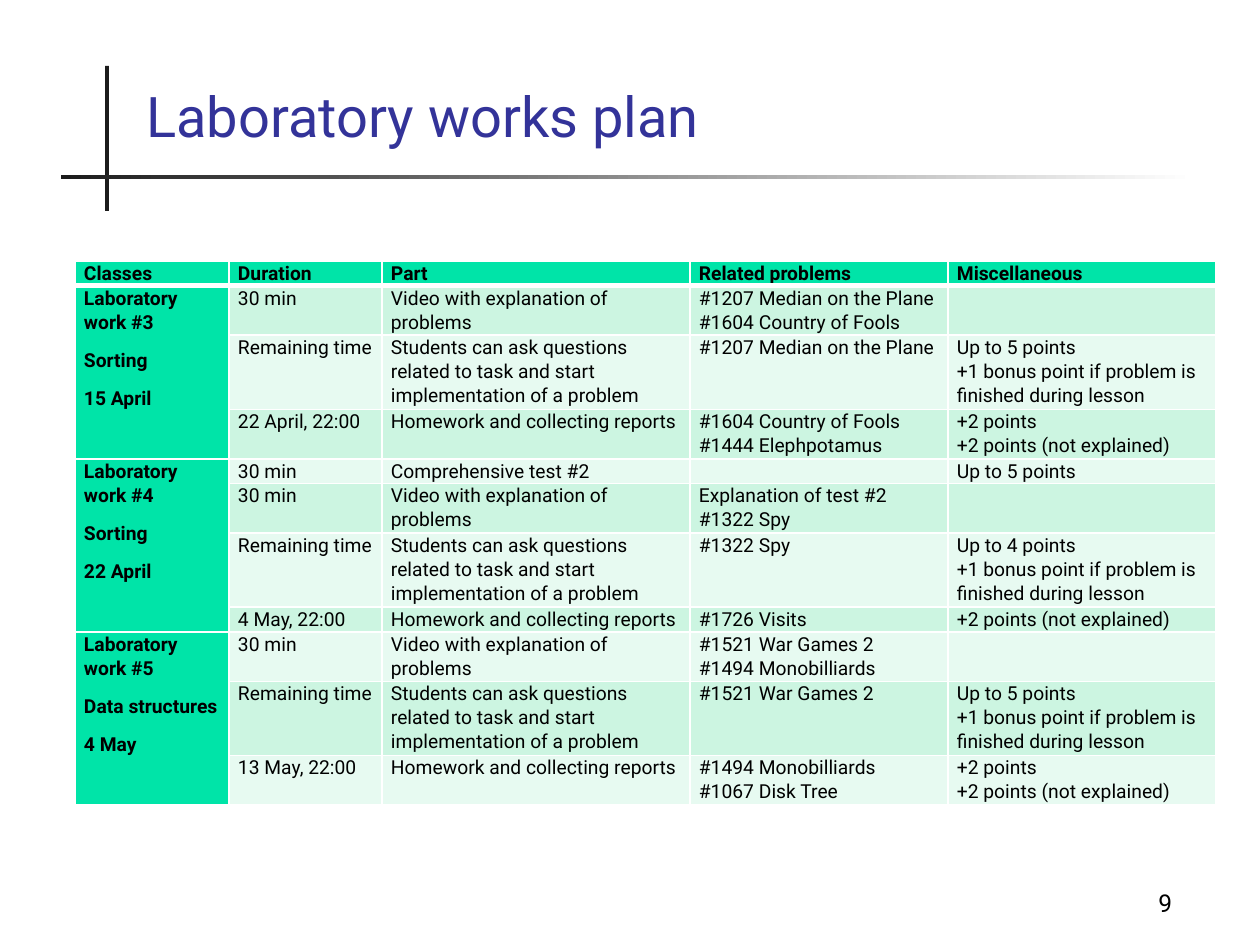
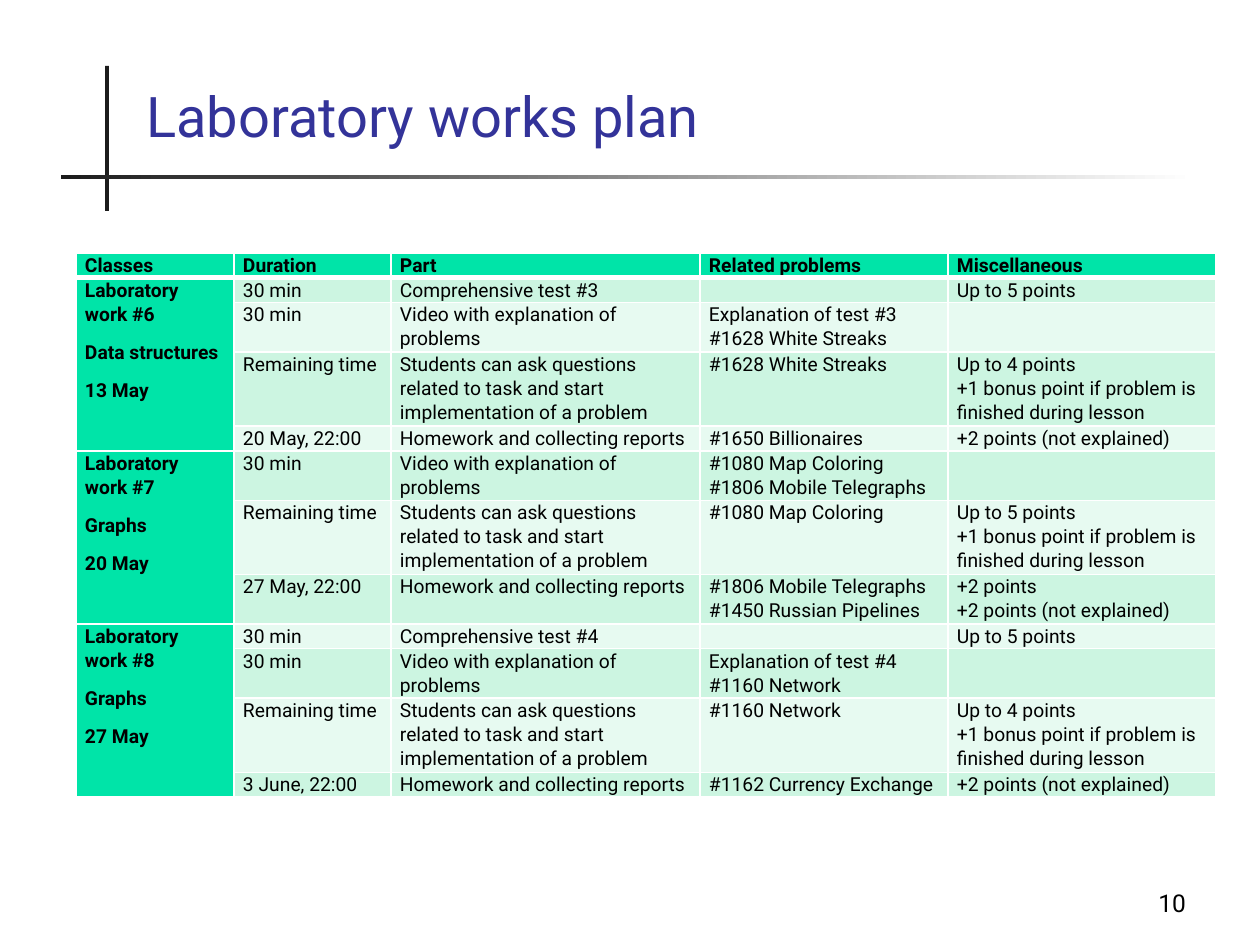
import pptx
import pptx.util
import pptx.dml.color
import pptx.enum.shapes
import pptx.enum.text
import pptx.oxml.ns
import lxml.etree

RGB = pptx.dml.color.RGBColor
qn = pptx.oxml.ns.qn
Pt = pptx.util.Pt

INK = RGB(0x1C, 0x1C, 0x1C)
WHITE = RGB(0xFF, 0xFF, 0xFF)
BLACK = RGB(0, 0, 0)
NAVY = RGB(0x33, 0x33, 0x99)
GREEN = RGB(0x00, 0xE4, 0xA8)
BANDS = RGB(0xE7, 0xFA, 0xF1), RGB(0xCC, 0xF5, 0xE1)

FONT = "Roboto"
LINE = 24
HEADS = "Classes", "Duration", "Part", "Related problems", "Miscellaneous"
VIDEO = "Video with explanation of problems"
TASK = "Students can ask questions related to task and start implementation of a problem"
HOME = "Homework and collecting reports"
LINES = {VIDEO: 2, TASK: 3}


def px(n):
    return round(n * 914400 / 126)


def place(left, top, width, height):
    return px(left), px(top), px(width), px(height)


def write(frame, *paras, size=11, color=BLACK, bold=False, lead=None, after=0):
    for i, text in enumerate(paras):
        para = frame.paragraphs[0] if i == 0 else frame.add_paragraph()
        para.text = text.replace("\n", "\v")
        para.line_spacing = lead
        para.space_after = Pt(after)
        for run in para.runs:
            run.font.name = FONT
            run.font.size = Pt(size)
            run.font.bold = bold
            run.font.color.rgb = color
        for gap in para._p.findall(qn("a:br")):
            lxml.etree.SubElement(gap, qn("a:rPr"), sz=str(size * 100))
        lxml.etree.SubElement(para._p, qn("a:endParaRPr"), sz=str(size * 100))


def label(slide, box, text, **style):
    frame = slide.shapes.add_textbox(*place(*box)).text_frame
    frame.word_wrap = True
    frame.vertical_anchor = pptx.enum.text.MSO_ANCHOR.BOTTOM
    write(frame, text, **style)


def bar(slide, box, fade=False):
    shape = slide.shapes.add_shape(pptx.enum.shapes.MSO_SHAPE.RECTANGLE, *place(*box))
    shape.shadow.inherit = False
    shape.line.fill.background()
    if fade:
        shape.fill.gradient()
        shape.fill.gradient_angle = 0
        for stop, color in zip(shape.fill.gradient_stops, (INK, WHITE)):
            stop.color.rgb = color
    else:
        shape.fill.solid()
        shape.fill.fore_color.rgb = INK


def frame_page(slide, number):
    bar(slide, (105, 66, 4, 145))
    bar(slide, (61, 175, 1134, 4), fade=True)
    label(slide, (134, 29, 1099, 126), "Laboratory works plan", size=32, color=NAVY)
    label(slide, (1146, 861, 110, 63), str(number), size=14)


def edge(cell, **widths):
    props = cell._tc.get_or_add_tcPr()
    for i, side in enumerate("LRTB"):
        width = Pt(widths.get(side, 1))
        line = lxml.etree.Element(qn("a:ln" + side), w=str(width))
        fill = lxml.etree.SubElement(line, qn("a:solidFill"))
        lxml.etree.SubElement(fill, qn("a:srgbClr"), val=str(WHITE))
        props.insert(i, line)


def fill_cell(cell, color, *paras, bold=False, **widths):
    cell.margin_left = cell.margin_right = px(9)
    cell.margin_top = cell.margin_bottom = 0
    cell.fill.solid()
    cell.fill.fore_color.rgb = color
    edge(cell, **widths)
    write(cell.text_frame, *paras, bold=bold, lead=1.07, after=8)


def test(n):
    return "30 min", f"Comprehensive test #{n}", "", "Up to 5 points"


def video(*items):
    return "30 min", VIDEO, "\n".join(items), ""


def task(item, points):
    bonus = "+1 bonus point if problem is finished during lesson"
    return "Remaining time", TASK, item, f"Up to {points} points\n{bonus}"


def home(due, *items):
    marks = ["+2 points"] * (len(items) - 1) + ["+2 points (not explained)"]
    return f"{due}, 22:00", HOME, "\n".join(items), "\n".join(marks)


def plan(slide, left, top, widths, labs):
    rows = [row for lab in labs for row in lab[3]]
    sizes = [LINE] + [
        LINE * max(LINES.get(part, 1), items.count("\n") + 1)
        for _, part, items, _ in rows
    ]
    box = place(left, top, sum(widths), sum(sizes))
    table = slide.shapes.add_table(len(sizes), len(widths), *box).table
    table.first_row = table.horz_banding = False
    for col, width in zip(table.columns, widths):
        col.width = px(width)
    for row, size in zip(table.rows, sizes):
        row.height = px(size)
    for c, head in enumerate(HEADS):
        fill_cell(table.cell(0, c), GREEN, head, bold=True, B=3)
    first = 1
    for number, topic, date, steps in labs:
        names = f"Laboratory work #{number}", topic, date
        for r, step in enumerate(steps, first):
            top_edge = 3 if r == 1 else 1
            paras = names if r == first else ("",)
            fill_cell(table.cell(r, 0), GREEN, *paras, bold=True, T=top_edge)
            for c, text in enumerate(step, 1):
                fill_cell(table.cell(r, c), BANDS[r % 2], text, T=top_edge)
        last = first + len(steps) - 1
        table.cell(first, 0).merge(table.cell(last, 0))
        first = last + 1


SPRING = [
    (3, "Sorting", "15 April", [
        video("#1207 Median on the Plane", "#1604 Country of Fools"),
        task("#1207 Median on the Plane", 5),
        home("22 April", "#1604 Country of Fools", "#1444 Elephpotamus"),
    ]),
    (4, "Sorting", "22 April", [
        test(2),
        video("Explanation of test #2", "#1322 Spy"),
        task("#1322 Spy", 4),
        home("4 May", "#1726 Visits"),
    ]),
    (5, "Data structures", "4 May", [
        video("#1521 War Games 2", "#1494 Monobilliards"),
        task("#1521 War Games 2", 5),
        home("13 May", "#1494 Monobilliards", "#1067 Disk Tree"),
    ]),
]
SUMMER = [
    (6, "Data structures", "13 May", [
        test(3),
        video("Explanation of test #3", "#1628 White Streaks"),
        task("#1628 White Streaks", 4),
        home("20 May", "#1650 Billionaires"),
    ]),
    (7, "Graphs", "20 May", [
        video("#1080 Map Coloring", "#1806 Mobile Telegraphs"),
        task("#1080 Map Coloring", 5),
        home("27 May", "#1806 Mobile Telegraphs", "#1450 Russian Pipelines"),
    ]),
    (8, "Graphs", "27 May", [
        test(4),
        video("Explanation of test #4", "#1160 Network"),
        task("#1160 Network", 4),
        home("3 June", "#1162 Currency Exchange"),
    ]),
]
PAGES = [
    (9, 75, 261, (154, 153, 308, 258, 268), SPRING),
    (10, 76, 253, (158, 157, 309, 248, 268), SUMMER),
]


def main():
    deck = pptx.Presentation()
    deck.slide_width, deck.slide_height = px(1260), px(945)
    for number, left, top, widths, labs in PAGES:
        slide = deck.slides.add_slide(deck.slide_layouts[6])
        frame_page(slide, number)
        plan(slide, left, top, widths, labs)
    deck.save("out.pptx")


if __name__ == "__main__":
    main()
